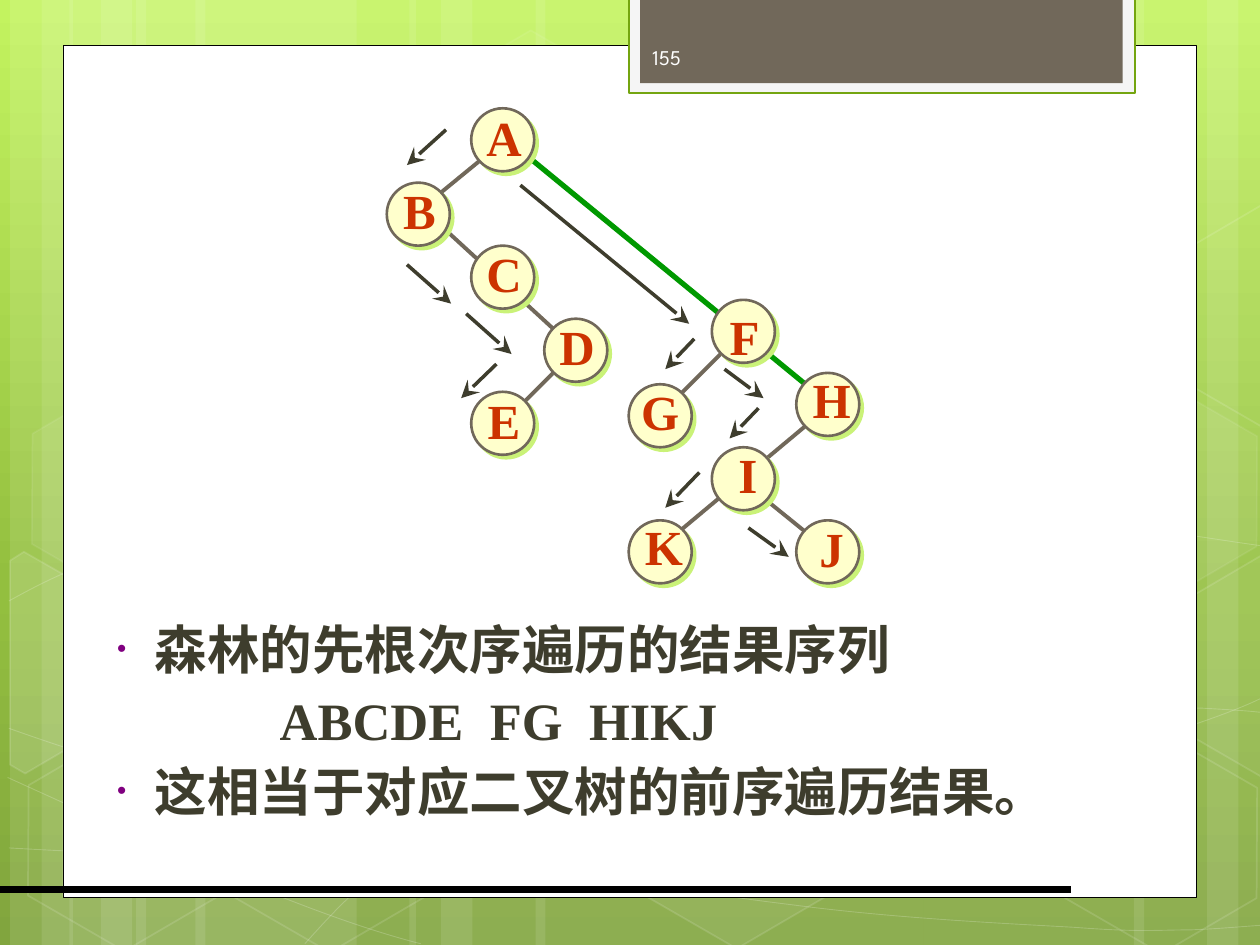
from copy import deepcopy
from dataclasses import dataclass

from lxml.etree import SubElement
from pptx import Presentation
from pptx.dml.color import RGBColor
from pptx.enum.shapes import MSO_CONNECTOR as Link, MSO_SHAPE as Preset
from pptx.enum.text import MSO_ANCHOR as Anchor, MSO_AUTO_SIZE as AutoSize, PP_ALIGN as Align
from pptx.oxml.ns import qn
from pptx.util import Inches, Pt


@dataclass(frozen=True)
class Theme:
    white: str = "FFFFFF"
    black: str = "000000"
    ink: str = "3E3D2D"
    taupe: str = "71685A"
    green: str = "009900"
    frame: str = "F5F5F5"
    frame_line: str = "74A510"
    node: str = "FFFFCC"
    node_shadow: str = "CAF278"
    letter: str = "CC3300"
    bullet: str = "800080"
    number: str = "FEFEFE"
    serif: str = "Times New Roman"
    sans: str = "League Spartan"
    body_size: int = 30
    letter_size: int = 28
    number_size: int = 12


THEME = Theme()
WIDTH, HEIGHT = 10, 7.5
GRADIENT = [(0, "C3F35F"), (0.62, "93BF3F"), (1, "81A53E")]

# Backdrop: bars are (left, width); hexagons (left, top, fill %, line %)
BARS = [(1.08, 1.75), (0.08, 0.5), (0.33, 0.83), (1.55, 1.75), (0.55, 0.5), (0.8, 0.83),
        (7.33, 1.75), (9.58, 0.5), (9, 0.83), (4.25, 3.08), (3.25, 0.5), (3.5, 0.83)]
# Each wave is a start point followed by groups of three Bezier points
WAVES = [
    [(0.07, 6.73), (0.61, 6.76), (1.15, 6.79), (1.9, 6.78), (2.65, 6.77), (3.58, 6.75),
     (4.58, 6.65), (5.58, 6.55), (7, 6.36), (7.92, 6.17), (8.83, 5.98), (9.77, 5.68), (10.07, 5.51)],
    [(0.07, 4.77), (0.36, 4.61), (0.65, 4.46), (1.21, 4.31), (1.78, 4.16), (2.59, 3.94),
     (3.47, 3.87), (4.36, 3.8), (5.44, 3.79), (6.54, 3.87), (7.64, 3.95), (9.47, 4.26), (10.07, 4.34)],
    [(0.06, 6.17), (1.27, 6.72), (2.47, 7.27), (3.34, 7.49)],
    [(0.07, 5.78), (0.38, 5.89), (0.7, 6), (1.28, 6.16), (1.86, 6.31), (2.73, 6.56),
     (3.57, 6.73), (4.4, 6.9), (5.45, 7.08), (6.28, 7.18), (7.11, 7.29), (8, 7.33),
     (8.53, 7.36), (9.05, 7.4), (9.19, 7.38), (9.45, 7.38), (9.71, 7.37), (9.89, 7.35), (10.07, 7.34)],
    [(2.42, 7.49), (2.6, 7.29), (2.78, 7.09), (3.02, 6.91), (3.26, 6.73), (3.6, 6.53),
     (3.88, 6.39), (4.16, 6.25), (4.33, 6.19), (4.7, 6.09), (5.06, 5.99), (5.73, 5.85),
     (6.08, 5.78), (6.44, 5.71), (6.49, 5.71), (6.8, 5.69), (7.11, 5.66), (7.6, 5.63),
     (7.94, 5.62), (8.29, 5.61), (8.86, 5.62), (8.86, 5.62), (9.08, 5.62), (9.31, 5.62),
     (9.53, 5.62), (9.71, 5.63), (9.88, 5.64), (9.97, 5.65), (10.06, 5.66), (10.03, 5.65), (10.06, 5.66)],
]
HEXAGONS = [(3.34, 0.36, 4, 8), (4.97, 5.89, 6, 12), (0.11, 5.91, None, 12), (0.14, 3.12, 7, 8),
            (1.74, 5.92, None, 12), (7.53, 4.53, 10, 12), (8.34, 5.93, None, 12), (8.34, 3.14, 7, 8)]
CUT_HEXAGONS = [
    ([(0.08, 4.45), (0.19, 4.38), (0.96, 4.82), (0.95, 5.7), (0.2, 6.14), (0.08, 6.07)], 10),
    ([(9.26, 4.85), (10.01, 4.41), (10.09, 4.46), (10.09, 6.13), (10.02, 6.17), (9.26, 5.73)], 4),
    ([(9.26, 2.07), (10.01, 1.63), (10.1, 1.68), (10.09, 3.35), (10.02, 3.39), (9.26, 2.95)], None),
]
# Panels: left, top, width, height, fill, line, line width
PANELS = [(0.5, 0.36, 9, 6.76, THEME.white, THEME.black, 0.5),
          (4.99, -0.02, 4.02, 0.76, THEME.frame, THEME.frame_line, 1.25),
          (5.08, -0.02, 3.83, 0.68, THEME.taupe, None, 0)]

# Tree: node left and top, then label left, top and width
DIAMETER, LABEL_HEIGHT = 0.5, 0.57
NODES = {
    "A": (3.74, 0.86, 3.76, 0.8, 0.48), "B": (3.07, 1.45, 3.1, 1.38, 0.46),
    "C": (3.74, 1.95, 3.76, 1.88, 0.48), "D": (4.32, 2.53, 4.34, 2.46, 0.48),
    "E": (3.74, 3.11, 3.77, 3.05, 0.46), "F": (5.65, 2.38, 5.69, 2.38, 0.44),
    "G": (4.99, 3.05, 4.99, 2.98, 0.5), "H": (6.32, 2.96, 6.35, 2.88, 0.5),
    "I": (5.65, 3.55, 5.76, 3.48, 0.35), "J": (6.32, 4.13, 6.4, 4.06, 0.4),
    "K": (4.99, 4.13, 5.02, 4.05, 0.5),
}
ROOT_CHAIN = (4.15, 1.21, 6.49, 3.13)
BRANCHES = [(4.49, 2.86, 4.07, 3.28), (3.4, 1.7, 4.49, 2.7), (3.9, 1.2, 3.4, 1.61),
            (6.07, 3.96, 6.49, 4.3), (6.49, 3.3, 5.4, 4.21), (5.82, 2.71, 5.32, 3.21)]
VISITS = [(3.54, 1.03, 3.23, 1.31), (3.23, 2.1, 3.58, 2.41), (3.7, 2.49, 4.06, 2.81),
          (3.94, 2.89, 3.66, 3.16), (4.13, 1.47, 5.47, 2.57), (5.51, 2.69, 5.28, 2.93),
          (5.75, 2.93, 6.06, 3.16), (6.02, 3.24, 5.79, 3.48), (5.55, 3.75, 5.28, 4.03),
          (5.94, 4.19, 6.26, 4.42)]
# Body: bulleted or not, and the runs
BODY = [(True, ["森林的先根次序遍历的结果序列"]),
        (False, ["ABCDE", " ", "FG", " ", "HIKJ"]),
        (True, ["这相当于对应二叉树的前序遍历结果。"])]


def inches(*values):
    return [Inches(value) for value in values]


def set_alpha(parent, percent):
    """Make the solid fill held by parent percent opaque."""
    if percent < 100:
        color = parent.find(qn("a:solidFill")).find(qn("a:srgbClr"))
        SubElement(color, qn("a:alpha"), val=str(percent * 1000))


def paint(shape, fill=None, line=None, width=1, fill_alpha=100, line_alpha=100):
    shape.shadow.inherit = False
    if fill:
        shape.fill.solid()
        shape.fill.fore_color.rgb = RGBColor.from_string(fill)
        set_alpha(shape.element.spPr, fill_alpha)
    else:
        shape.fill.background()
    if line:
        shape.line.color.rgb = RGBColor.from_string(line)
        shape.line.width = Pt(width)
        set_alpha(shape.element.spPr.find(qn("a:ln")), line_alpha)
    else:
        shape.line.fill.background()
    return shape


def outline(page, points, close):
    start, *rest = [inches(*point) for point in points]
    builder = page.shapes.build_freeform(*start)
    builder.add_line_segments(rest, close=close)
    return builder.convert_to_shape()


def bend(shape):
    """Turn every three straight segments into one cubic curve."""
    track = shape.element.find(".//" + qn("a:path"))
    segments = track.findall(qn("a:lnTo"))
    for first in range(0, len(segments), 3):
        curve = SubElement(track, qn("a:cubicBezTo"))
        for segment in segments[first:first + 3]:
            curve.append(segment[0])
            track.remove(segment)
    return shape


def connect(page, ends, color, width, arrow=False):
    line = page.shapes.add_connector(Link.STRAIGHT, *inches(*ends))
    line.line.color.rgb = RGBColor.from_string(color)
    line.line.width = Pt(width)
    if arrow:
        SubElement(line.element.spPr.find(qn("a:ln")), qn("a:tailEnd"),
                   type="stealth", w="lg", len="lg")
    SubElement(line.element.spPr, qn("a:effectLst"))


def add_span(para, text, size, font, color, bold=False):
    span = para.add_run()
    span.text = text
    span.font.size, span.font.name, span.font.bold = Pt(size), font, bold
    span.font.color.rgb = RGBColor.from_string(color)
    return span


def draw_backdrop(page):
    fill = page.background.fill
    fill.gradient()
    fill.gradient_angle = 270
    stops = page.element.find(".//" + qn("a:gsLst"))
    stops.append(deepcopy(stops[-1]))
    for stop, (position, color) in zip(fill.gradient_stops, GRADIENT):
        stop.position, stop.color.rgb = position, RGBColor.from_string(color)
    for left, width in BARS:
        bar = page.shapes.add_shape(Preset.RECTANGLE, *inches(left, 0, width, HEIGHT))
        paint(bar, THEME.white, fill_alpha=10)
    for wave in WAVES:
        paint(bend(outline(page, wave, False)), None, THEME.white, 0.5, line_alpha=20)
    for left, top, tint, edge in HEXAGONS:
        hexagon = page.shapes.add_shape(Preset.HEXAGON, *inches(left, top, 1.75, 1.52))
        hexagon.adjustments[0], hexagon.adjustments[1] = 0.285, 1.155
        hexagon.rotation = 30
        paint(hexagon, tint and THEME.white, THEME.white, 1, tint, edge)
    for points, tint in CUT_HEXAGONS:
        paint(outline(page, points, True), tint and THEME.white, THEME.white, 1, tint, 12)
    for *place, color, line, width in PANELS:
        paint(page.shapes.add_shape(Preset.RECTANGLE, *inches(*place)), color, line, width)
    connect(page, (0, 7.06, 0.85 * WIDTH, 7.06), THEME.black, 4.5)


def write_body(body):
    body.left, body.top, body.width, body.height = inches(0.75, 4.85, 9, 2.01)
    frame = body.text_frame
    frame.auto_size, frame.vertical_anchor = AutoSize.NONE, Anchor.TOP
    for index, (bulleted, texts) in enumerate(BODY):
        para = frame.paragraphs[0] if index == 0 else frame.add_paragraph()
        props = para._p.get_or_add_pPr()
        props.set("marL", str(Inches(0.38 if bulleted else 1.37)))
        props.set("indent", str(Inches(-0.3 if bulleted else 0)))
        SubElement(SubElement(props, qn("a:spcBef")), qn("a:spcPct"), val="15000")
        if bulleted:
            SubElement(SubElement(props, qn("a:buClr")), qn("a:srgbClr"), val=THEME.bullet)
            SubElement(props, qn("a:buSzPct"), val="50000")
            SubElement(props, qn("a:buChar"), char="•")
        else:
            SubElement(props, qn("a:buNone"))
        for text in texts:
            span = add_span(para, text, THEME.body_size, THEME.serif, THEME.ink, True)
            if text == " ":
                span.font._element.set("spc", "750")


def draw_tree(page):
    connect(page, ROOT_CHAIN, THEME.green, 3)
    for ends in BRANCHES:
        connect(page, ends, THEME.taupe, 2.25)
    for letter, (left, top, *label_place) in NODES.items():
        node = page.shapes.add_shape(Preset.OVAL, *inches(left, top, DIAMETER, DIAMETER))
        paint(node, THEME.node, THEME.taupe, 1.5)
        shadow = SubElement(node.element.spPr.find(qn("a:effectLst")), qn("a:outerShdw"),
                            dist=str(Pt(2.8)), dir="2700000", algn="ctr", rotWithShape="0")
        SubElement(shadow, qn("a:srgbClr"), val=THEME.node_shadow)
        frame = page.shapes.add_textbox(*inches(*label_place, LABEL_HEIGHT)).text_frame
        frame.word_wrap, frame.auto_size = False, AutoSize.SHAPE_TO_FIT_TEXT
        frame.vertical_anchor = Anchor.MIDDLE
        frame.paragraphs[0].alignment = Align.CENTER
        add_span(frame.paragraphs[0], letter, THEME.letter_size, THEME.serif, THEME.letter, True)
    for ends in VISITS:
        connect(page, ends, THEME.ink, 2, arrow=True)


def main():
    deck = Presentation()
    deck.slide_width, deck.slide_height = inches(WIDTH, HEIGHT)
    page = deck.slides.add_slide(deck.slide_layouts[1])
    title, body = page.placeholders
    tree = title.element.getparent()
    tree.remove(title.element)
    draw_backdrop(page)
    tree.append(body.element)
    write_body(body)
    number = page.shapes.add_textbox(*inches(5.08, 0.25, 1.46, 0.4)).text_frame
    number.word_wrap, number.vertical_anchor = True, Anchor.MIDDLE
    add_span(number.paragraphs[0], "155", THEME.number_size, THEME.sans, THEME.number)
    draw_tree(page)
    deck.save("out.pptx")


if __name__ == "__main__":
    main()
